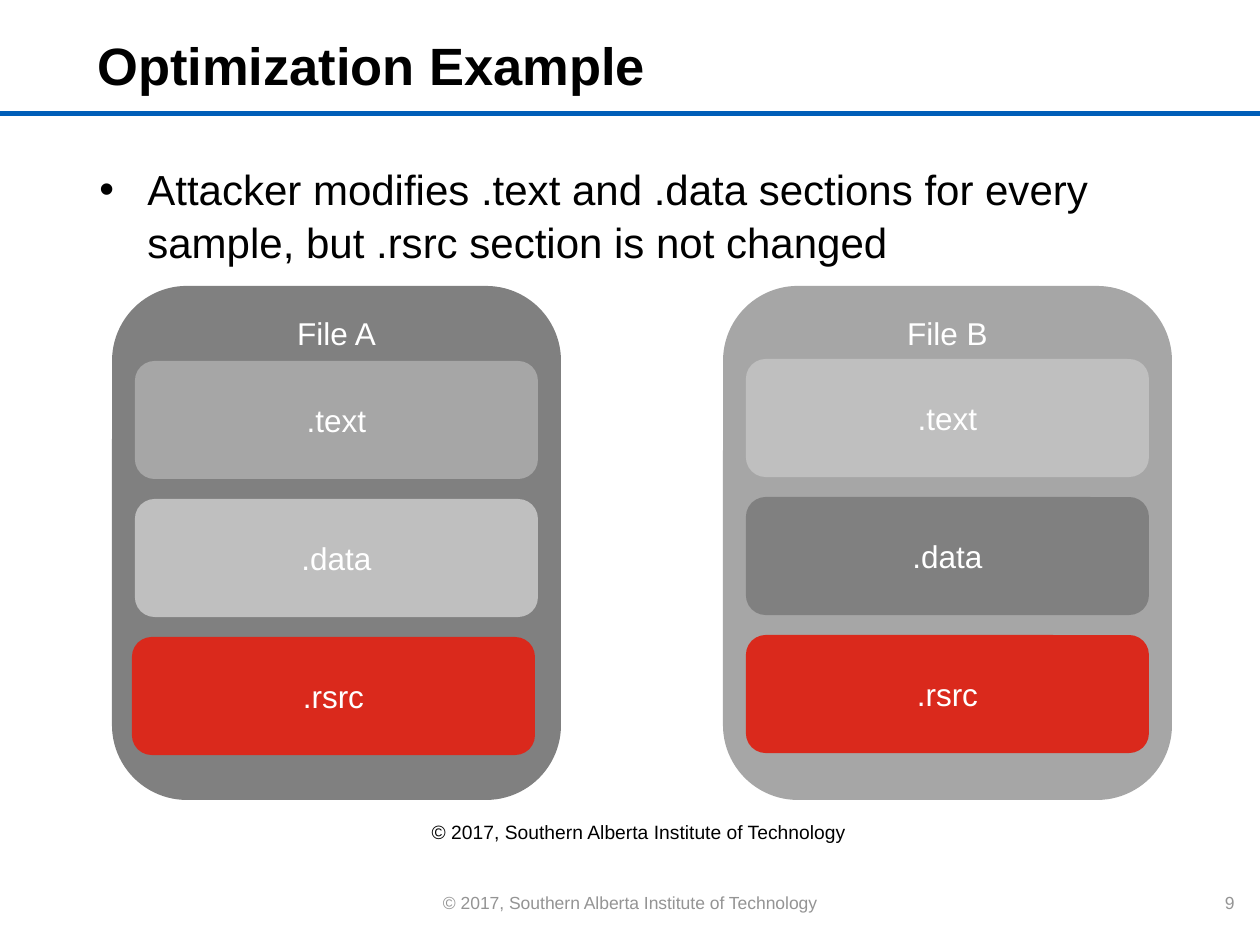
from pptx import Presentation
from pptx.dml.color import RGBColor
from pptx.enum.shapes import MSO_SHAPE
from pptx.enum.text import MSO_ANCHOR, PP_ALIGN
from pptx.oxml.ns import qn
from pptx.util import Pt
from lxml import etree

SCALE = 914400 / 126
RECT, ROUND = MSO_SHAPE.RECTANGLE, MSO_SHAPE.ROUNDED_RECTANGLE
TOP, MIDDLE = MSO_ANCHOR.TOP, MSO_ANCHOR.MIDDLE
LEFT, CENTER, RIGHT = PP_ALIGN.LEFT, PP_ALIGN.CENTER, PP_ALIGN.RIGHT

BLACK = RGBColor(0x00, 0x00, 0x00)
WHITE = RGBColor(0xFF, 0xFF, 0xFF)
BLUE = RGBColor(0x00, 0x5E, 0xB8)
RED = RGBColor(0xDA, 0x29, 0x1C)
DARK = RGBColor(0x80, 0x80, 0x80)
MUTED = RGBColor(0x94, 0x94, 0x94)
MID = RGBColor(0xA6, 0xA6, 0xA6)
LIGHT = RGBColor(0xBF, 0xBF, 0xBF)

FONT = "Arial"
CREDIT = "© 2017, Southern Alberta Institute of Technology"
PITCH = 138


def px(n):
    return round(n * SCALE)


def write(shape, text, size=18, color=WHITE, bold=False, align=CENTER,
          anchor=MIDDLE, inset=6, bullet=False):
    frame = shape.text_frame
    frame.word_wrap = True
    frame.vertical_anchor = anchor
    frame.margin_top = px(inset)
    para = frame.paragraphs[0]
    para.text = text
    para.alignment = align
    if bullet:
        add_bullet(para)
    font = para.runs[0].font
    font.name, font.size, font.bold = FONT, Pt(size), bold
    font.color.rgb = color


def add_bullet(para):
    """Give the paragraph a round bullet with a hanging indent."""
    props = para._p.get_or_add_pPr()
    props.set("marL", str(px(48)))
    props.set("indent", str(-px(48)))
    para.line_spacing = 1.04
    etree.SubElement(props, qn("a:buFont")).set("typeface", FONT)
    etree.SubElement(props, qn("a:buChar")).set("char", "•")


def add_text(slide, box, text, **style):
    write(slide.shapes.add_textbox(*map(px, box)), text, **style)


def add_block(shapes, kind, box, fill):
    block = shapes.add_shape(kind, *map(px, box))
    block.shadow.inherit = False
    block.fill.solid()
    block.fill.fore_color.rgb = fill
    block.line.fill.background()
    return block


def add_file(slide, name, left, first, fill, parts):
    """Draw a file as a group: its body and a stack of sections."""
    shapes = slide.shapes.add_group_shape().shapes
    body = add_block(shapes, ROUND, (left, 286, 449, 514), fill)
    write(body, name, anchor=TOP)
    for row, (label, shade, inset) in enumerate(parts):
        box = (left + inset, first + row * PITCH, 403, 118)
        write(add_block(shapes, ROUND, box, shade), label)


def main():
    deck = Presentation()
    deck.slide_width, deck.slide_height = px(1260), px(945)
    slide = deck.slides.add_slide(deck.slide_layouts[6])

    add_block(slide.shapes, RECT, (0, 111, 1260, 5), BLUE)
    add_text(slide, (418, 886, 424, 34), CREDIT, size=10, color=MUTED)
    add_text(slide, (1197, 886, 50, 34), "9", size=10, color=MUTED,
             align=RIGHT)
    add_text(slide, (85, 21, 924, 95), "Optimization Example", size=30,
             color=BLACK, bold=True, align=LEFT, anchor=TOP, inset=12)
    add_text(slide, (87, 154, 1133, 285),
             "Attacker modifies .text and .data sections for every sample, "
             "but .rsrc section is not changed",
             size=24, color=BLACK, align=LEFT, anchor=TOP, inset=8,
             bullet=True)
    add_text(slide, (324, 813, 630, 37), CREDIT, size=11, color=BLACK)

    add_file(slide, "File A", 112, 361, DARK,
             [(".text", MID, 23), (".data", LIGHT, 23), (".rsrc", RED, 20)])
    add_file(slide, "File B", 723, 359, MID,
             [(".text", LIGHT, 23), (".data", DARK, 23), (".rsrc", RED, 23)])

    deck.save("out.pptx")


if __name__ == "__main__":
    main()
